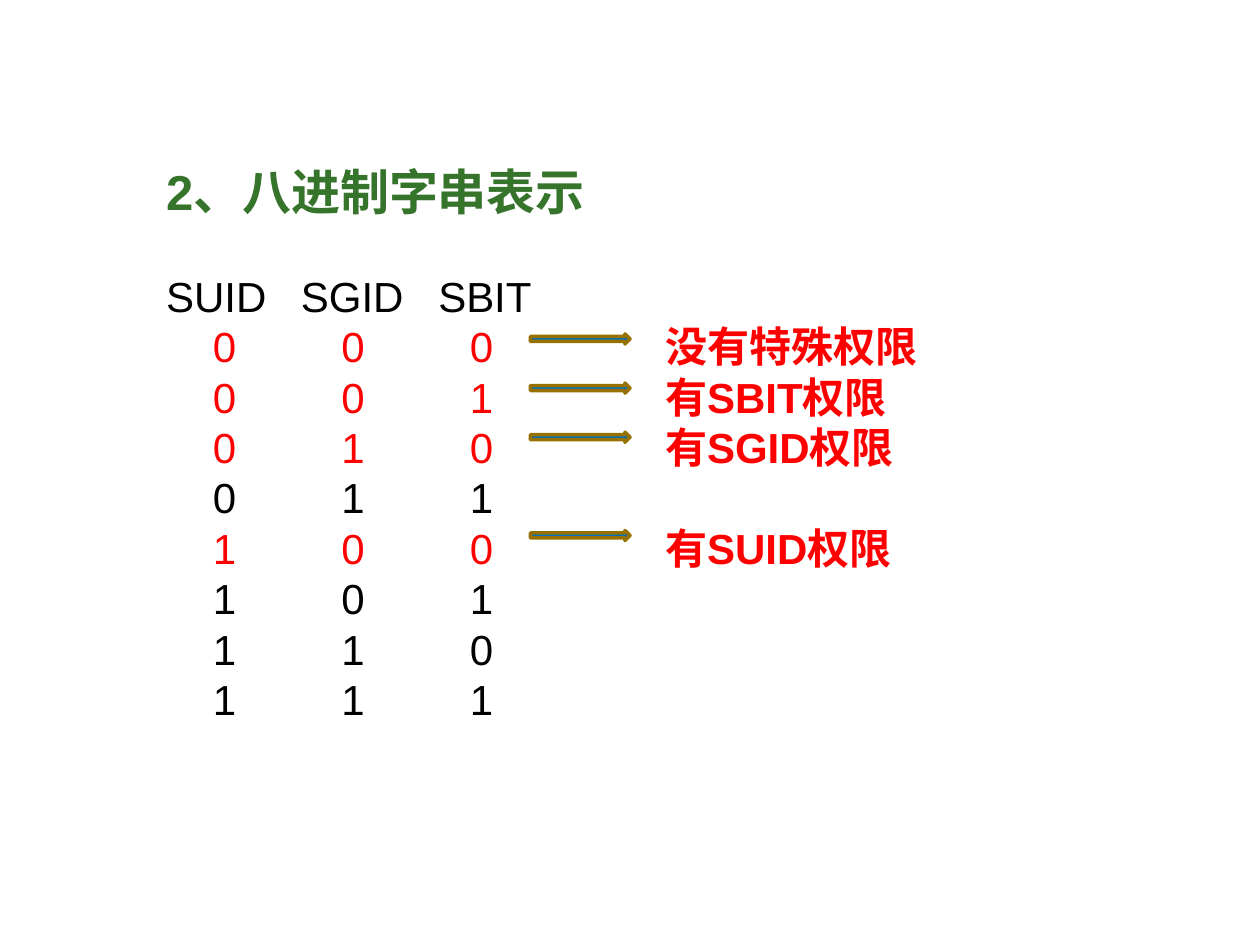
import pptx
import pptx.dml.color
import pptx.enum.shapes
import pptx.oxml.ns
import pptx.util
from lxml import etree
from pptx.util import Inches

GREEN, RED, BLACK = "35742A", "FF0000", "000000"
HEADER_TABS = [1.07, 2.16]
ROW_TABS = [0.37, 1.39, 2.41, 3.96]
LABELS = {0: "没有特殊权限", 1: "有SBIT权限", 2: "有SGID权限", 4: "有SUID权限"}


def rgb(value):
    return pptx.dml.color.RGBColor.from_string(value)


def add_tabs(p, positions):
    tabs = etree.SubElement(p._p.get_or_add_pPr(), pptx.oxml.ns.qn("a:tabLst"))
    for position in positions:
        etree.SubElement(tabs, pptx.oxml.ns.qn("a:tab"),
                         pos=str(Inches(position)), algn="l")


def write_line(p, parts, size, color, tabs=()):
    """Fill a paragraph with (text, bold) parts at a fixed line height."""
    if tabs:
        add_tabs(p, tabs)
    p.line_spacing = pptx.util.Pt(size * 1.2)
    p.font.name = "Arial"
    p.font.size = pptx.util.Pt(size)
    p.font.color.rgb = rgb(color)
    for text, bold in parts:
        r = p.add_run()
        r.text = text
        r.font.bold = bold


def add_permission_text(slide, left, top, width, height):
    tf = slide.shapes.add_textbox(left, top, width, height).text_frame
    tf.word_wrap = True
    write_line(tf.paragraphs[0], [("2、八进制字串表示", True)], 28, GREEN)

    header = tf.add_paragraph()
    write_line(header, [("SUID\tSGID\tSBIT", False)], 24, BLACK, HEADER_TABS)
    header.space_before = pptx.util.Pt(28.8)

    for value in range(8):
        parts = [("".join("\t" + bit for bit in f"{value:03b}"), False)]
        if value in LABELS:
            parts.append(("\t" + LABELS[value], True))
        color = RED if value in LABELS else BLACK
        write_line(tf.add_paragraph(), parts, 24, color, ROW_TABS)


def add_arrows(slide, left, top, width, height, pitch):
    for row in LABELS:
        sp = slide.shapes.add_shape(
            pptx.enum.shapes.MSO_SHAPE.RIGHT_ARROW,
            left, top + row * pitch, width, height)
        sp.shadow.inherit = False
        sp.fill.solid()
        sp.fill.fore_color.rgb = rgb("0070C0")
        sp.line.color.rgb = rgb("977100")
        sp.line.width = pptx.util.Pt(2)


def main():
    prs = pptx.Presentation()
    prs.slide_width, prs.slide_height = Inches(10), Inches(7.5)
    slide = prs.slides.add_slide(prs.slide_layouts[6])
    add_permission_text(slide, Inches(1.22), Inches(1.23), Inches(6.61), Inches(5.32))
    add_arrows(slide, Inches(4.21), Inches(2.65), Inches(0.79), Inches(0.08), Inches(0.39))
    prs.save("out.pptx")


if __name__ == "__main__":
    main()
